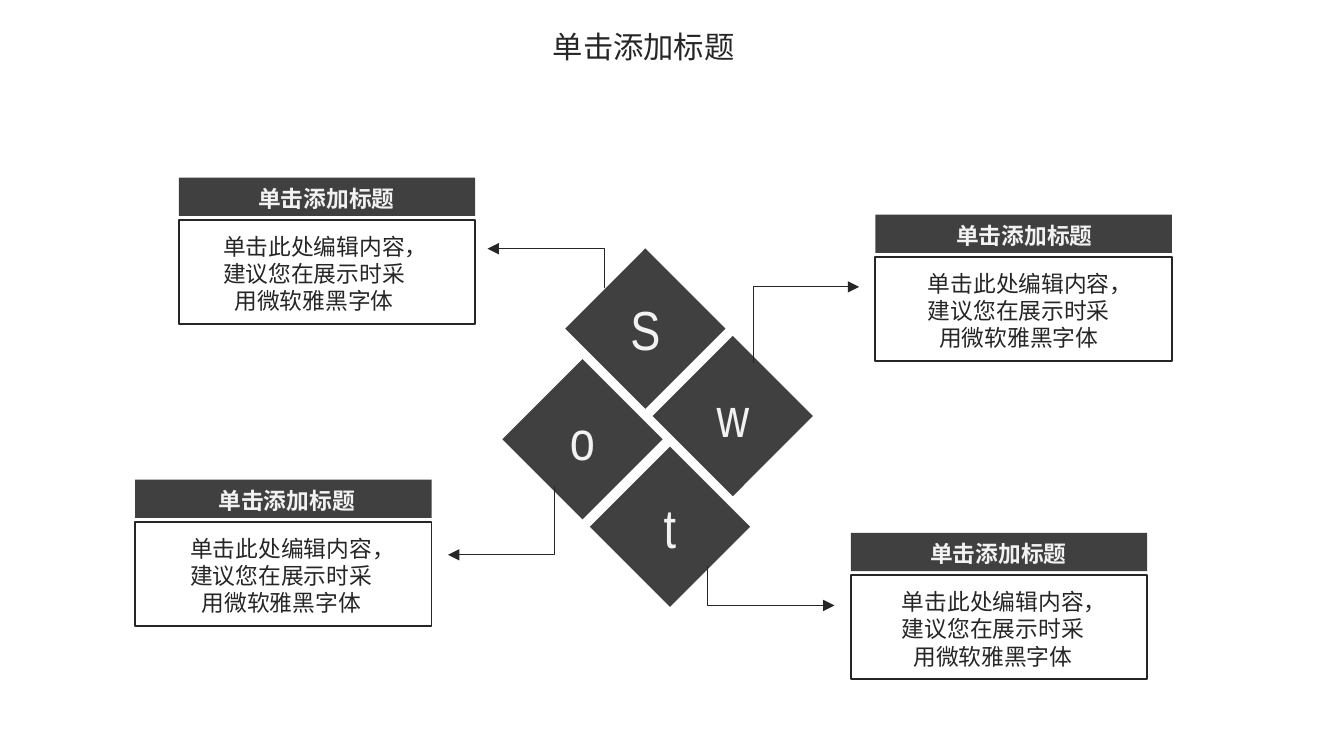
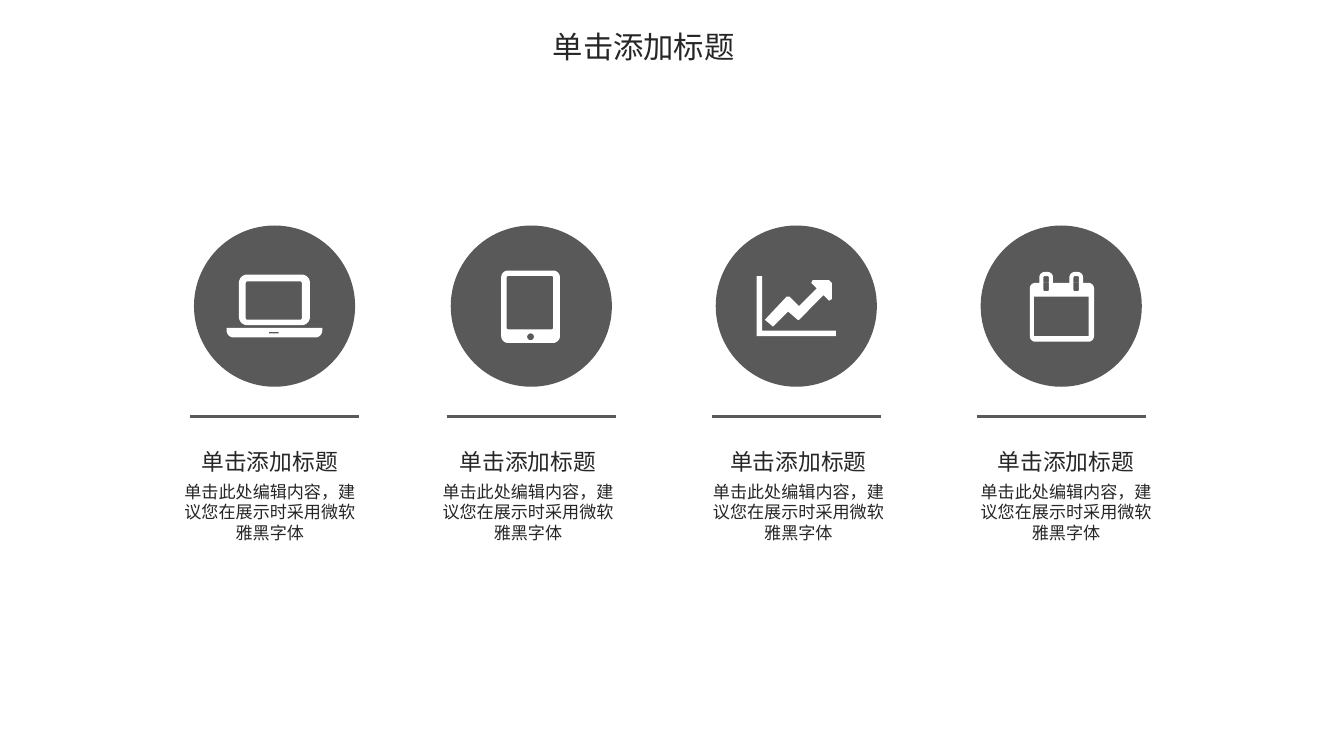
from dataclasses import dataclass
from math import cos, pi, sin

from pptx import Presentation
from pptx.dml.color import RGBColor
from pptx.enum.shapes import MSO_CONNECTOR, MSO_SHAPE
from pptx.enum.text import MSO_ANCHOR, MSO_AUTO_SIZE, PP_ALIGN
from pptx.oxml.ns import qn
from pptx.oxml.xmlchemy import OxmlElement
from pptx.util import Inches, Pt

CHARCOAL = RGBColor(0x40, 0x40, 0x40)
GREY = RGBColor(0x59, 0x59, 0x59)
INK = RGBColor(0x26, 0x26, 0x26)
PALE = RGBColor(0xF2, 0xF2, 0xF2)
WHITE = RGBColor(0xFF, 0xFF, 0xFF)

RECT, ELLIPSE = MSO_SHAPE.RECTANGLE, MSO_SHAPE.OVAL
STRAIGHT, ELBOW = MSO_CONNECTOR.STRAIGHT, MSO_CONNECTOR.ELBOW
LEFT, CENTER = PP_ALIGN.LEFT, PP_ALIGN.CENTER
TOP, MIDDLE = MSO_ANCHOR.TOP, MSO_ANCHOR.MIDDLE
GROW, FIXED = MSO_AUTO_SIZE.SHAPE_TO_FIT_TEXT, MSO_AUTO_SIZE.NONE

CJK, LATIN, NARROW = "Noto Sans CJK SC", "Lato", "Arial Narrow"
EAST_ASIAN = "Lato"
HEADING = "单击添加标题"
BODY = "单击此处编辑内容，建议您在展示时采用微软雅黑字体"

TITLE_FONT = {"name": CJK, "size": Pt(16)}
CARD_HEADING_FONT = {"name": CJK, "size": Pt(12), "bold": True}
CARD_BODY_FONT = {"name": LATIN, "size": Pt(12)}
LETTER_FONT = {"name": NARROW, "size": Pt(29)}
COLUMN_HEADING_FONT = {"name": CJK, "size": Pt(12)}
COLUMN_BODY_FONT = {"name": CJK, "size": Pt(9)}

NO_INSETS = (0, 0, 0, 0)
TITLE_INSETS = (0.1, 0.05, 0.1, 0.05)
CARD_INSETS = (0, 0.04, 0.07, 0.04)

DIAMOND_SIDE = 0.83
CARD_WIDTH = 2.17
CIRCLE_TOP, CIRCLE_SIZE = 1.65, 1.18
RULE_TOP, RULE_OVERHANG = 3.05, 0.03

Point = tuple[float, float]
Contour = list[Point]


@dataclass
class SwotItem:
    letter: str
    diamond: Point
    card: Point
    heading_left: float
    body_left: float
    arrow_start: Point
    arrow_tip: Point


@dataclass
class IconColumn:
    circle_left: float
    text_left: float
    icon: list[Contour]


def rounded_box(left: float, top: float, right: float, bottom: float,
                top_radius: float = 0, bottom_radius: float | None = None) -> Contour:
    """Return the outline clockwise; the bottom radius defaults to the top one."""
    low = top_radius if bottom_radius is None else bottom_radius
    corners = [(left + top_radius, top + top_radius, top_radius, 2),
               (right - top_radius, top + top_radius, top_radius, 3),
               (right - low, bottom - low, low, 0),
               (left + low, bottom - low, low, 1)]
    steps = 8
    points: Contour = []
    for x, y, radius, quarter in corners:
        for i in range(steps + 1 if radius else 1):
            angle = (quarter + i / steps) * pi / 2
            points.append((x + radius * cos(angle), y + radius * sin(angle)))
    return points


# Icon outlines are measured from the top left corner of their circle.
LAPTOP = [
    rounded_box(0.24, 0.75, 0.94, 0.82, 0, 0.05),
    rounded_box(0.33, 0.36, 0.85, 0.73, 0.06),
    rounded_box(0.38, 0.41, 0.79, 0.69, 0.01),
    rounded_box(0.55, 0.78, 0.62, 0.79),
]
TABLET = [
    rounded_box(0.37, 0.33, 0.8, 0.86, 0.05),
    rounded_box(0.41, 0.37, 0.75, 0.76, 0.01),
    rounded_box(0.56, 0.79, 0.61, 0.84, 0.025),
]
GROWTH = [
    [(0.88, 0.81), (0.3, 0.81), (0.3, 0.37), (0.34, 0.37), (0.34, 0.77), (0.88, 0.77)],
    [(0.85, 0.54), (0.83, 0.55), (0.79, 0.51), (0.61, 0.69), (0.6, 0.69), (0.53, 0.63),
     (0.42, 0.74), (0.36, 0.69), (0.52, 0.52), (0.54, 0.52), (0.61, 0.59), (0.74, 0.46),
     (0.7, 0.42), (0.71, 0.4), (0.83, 0.4), (0.85, 0.42)],
]
CALENDAR = [
    rounded_box(0.36, 0.42, 0.83, 0.85, 0.04),
    rounded_box(0.39, 0.52, 0.79, 0.81),
]
for ring_left in (0.43, 0.65):
    CALENDAR += [
        rounded_box(ring_left, 0.34, ring_left + 0.1, 0.42, 0.04, 0),
        rounded_box(ring_left + 0.03, 0.37, ring_left + 0.07, 0.48, 0.01),
    ]

SWOT_ITEMS = [
    SwotItem("S", (4.31, 1.99), (1.31, 1.3), 1.89, 1.6, (4.43, 2.11), (3.57, 1.82)),
    SwotItem("w", (4.95, 2.63), (6.41, 1.57), 7, 6.76, (5.52, 2.66), (6.29, 2.1)),
    SwotItem("o", (3.85, 2.8), (0.99, 3.51), 1.6, 1.36, (4.06, 3.56), (3.28, 4.06)),
    SwotItem("t", (4.49, 3.44), (6.23, 3.9), 6.81, 6.57, (5.18, 4.14), (6.11, 4.43)),
]
ICON_COLUMNS = [
    IconColumn(1.42, 1.35, LAPTOP),
    IconColumn(3.3, 3.24, TABLET),
    IconColumn(5.24, 5.22, GROWTH),
    IconColumn(7.18, 7.18, CALENDAR),
]


def add_box(slide, kind, left: float, top: float, width: float, height: float,
            fill: RGBColor | None = None, line: RGBColor | None = None):
    sp = slide.shapes.add_shape(kind, *map(Inches, (left, top, width, height)))
    sp.shadow.inherit = False
    if fill is None:
        sp.fill.background()
    else:
        sp.fill.solid()
        sp.fill.fore_color.rgb = fill
    if line is None:
        sp.line.fill.background()
    else:
        sp.line.color.rgb = line
        sp.line.width = Pt(1)
    return sp


def add_text(slide, text: str, left: float, top: float, width: float, height: float,
             font: dict, color: RGBColor = INK, align=LEFT, anchor=TOP,
             insets: tuple = NO_INSETS, wrap: bool = False, auto_size=GROW) -> None:
    sp = slide.shapes.add_textbox(*map(Inches, (left, top, width, height)))
    tf = sp.text_frame
    frame = {"word_wrap": wrap, "auto_size": auto_size, "vertical_anchor": anchor}
    for side, inset in zip(("left", "top", "right", "bottom"), insets):
        frame[f"margin_{side}"] = Inches(inset)
    for name, value in frame.items():
        setattr(tf, name, value)
    p = tf.paragraphs[0]
    p.alignment = align
    r = p.add_run()
    r.text = text
    for name, value in font.items():
        setattr(r.font, name, value)
    r.font.color.rgb = color
    ea = OxmlElement("a:ea")
    ea.set("typeface", EAST_ASIAN)
    r.font._element.find(qn("a:latin")).addnext(ea)


def add_line(slide, kind, start: Point, end: Point, color: RGBColor, width: float):
    cx = slide.shapes.add_connector(kind, *map(Inches, start + end))
    cx.line.color.rgb = color
    cx.line.width = Pt(width)
    cx._element.spPr.append(OxmlElement("a:effectLst"))
    return cx


def add_elbow_arrow(slide, start: Point, tip: Point) -> None:
    """Draw an arrow that runs vertically first, then sideways to its tip."""
    cx = add_line(slide, ELBOW, start, tip, INK, 0.5)
    guide = OxmlElement("a:gd")
    guide.set("name", "adj1")
    guide.set("fmla", "val 0")
    cx._element.spPr.find(qn("a:prstGeom")).get_or_add_avLst().append(guide)
    head = OxmlElement("a:tailEnd")
    head.set("type", "triangle")
    cx.line._get_or_add_ln().append(head)


def add_icon(slide, contours: list[Contour], left: float, top: float) -> None:
    placed = [[(Inches(left + x), Inches(top + y)) for x, y in contour]
              for contour in contours]
    builder = slide.shapes.build_freeform(*placed[0][0])
    builder.add_line_segments(placed[0][1:], close=True)
    for contour in placed[1:]:
        builder.move_to(*contour[0])
        builder.add_line_segments(contour[1:], close=True)
    sp = builder.convert_to_shape()
    sp.shadow.inherit = False
    sp.fill.solid()
    sp.fill.fore_color.rgb = WHITE
    sp.line.fill.background()


def add_titled_slide(prs):
    slide = prs.slides.add_slide(prs.slide_layouts[6])
    add_text(slide, HEADING, 3.95, 0.16, 3.25, 0.37, TITLE_FONT,
             insets=TITLE_INSETS, wrap=True)
    return slide


def add_swot_item(slide, item: SwotItem) -> None:
    left, top = item.diamond
    diamond = add_box(slide, RECT, left, top, DIAMOND_SIDE, DIAMOND_SIDE, CHARCOAL)
    diamond.rotation = 45
    add_text(slide, item.letter, left + 0.27, top + 0.17, 0.29, 0.49,
             LETTER_FONT, PALE, CENTER)
    add_elbow_arrow(slide, item.arrow_start, item.arrow_tip)

    left, top = item.card
    add_box(slide, RECT, left, top, CARD_WIDTH, 0.28, CHARCOAL)
    add_text(slide, HEADING, item.heading_left, top + 0.05, 1.01, 0.2,
             CARD_HEADING_FONT, PALE)
    add_box(slide, RECT, left, top + 0.31, CARD_WIDTH, 0.76, line=INK)
    add_text(slide, BODY, item.body_left, top + 0.49, 1.47, 0.42, CARD_BODY_FONT,
             align=CENTER, anchor=MIDDLE, insets=CARD_INSETS, wrap=True,
             auto_size=FIXED)


def add_icon_column(slide, column: IconColumn) -> None:
    left = column.circle_left
    add_box(slide, ELLIPSE, left, CIRCLE_TOP, CIRCLE_SIZE, CIRCLE_SIZE, GREY)
    add_icon(slide, column.icon, left, CIRCLE_TOP)
    add_line(slide, STRAIGHT, (left - RULE_OVERHANG, RULE_TOP),
             (left + CIRCLE_SIZE + RULE_OVERHANG, RULE_TOP), GREY, 1.5)
    add_text(slide, HEADING, column.text_left + 0.12, 3.28, 1.01, 0.2,
             COLUMN_HEADING_FONT, align=CENTER)
    add_text(slide, BODY, column.text_left, 3.52, 1.25, 0.45,
             COLUMN_BODY_FONT, align=CENTER, wrap=True)


def main() -> None:
    prs = Presentation()
    prs.slide_width, prs.slide_height = Inches(9.84), Inches(5.51)
    swot = add_titled_slide(prs)
    for item in SWOT_ITEMS:
        add_swot_item(swot, item)
    icons = add_titled_slide(prs)
    for column in ICON_COLUMNS:
        add_icon_column(icons, column)
    prs.save("out.pptx")


if __name__ == "__main__":
    main()
